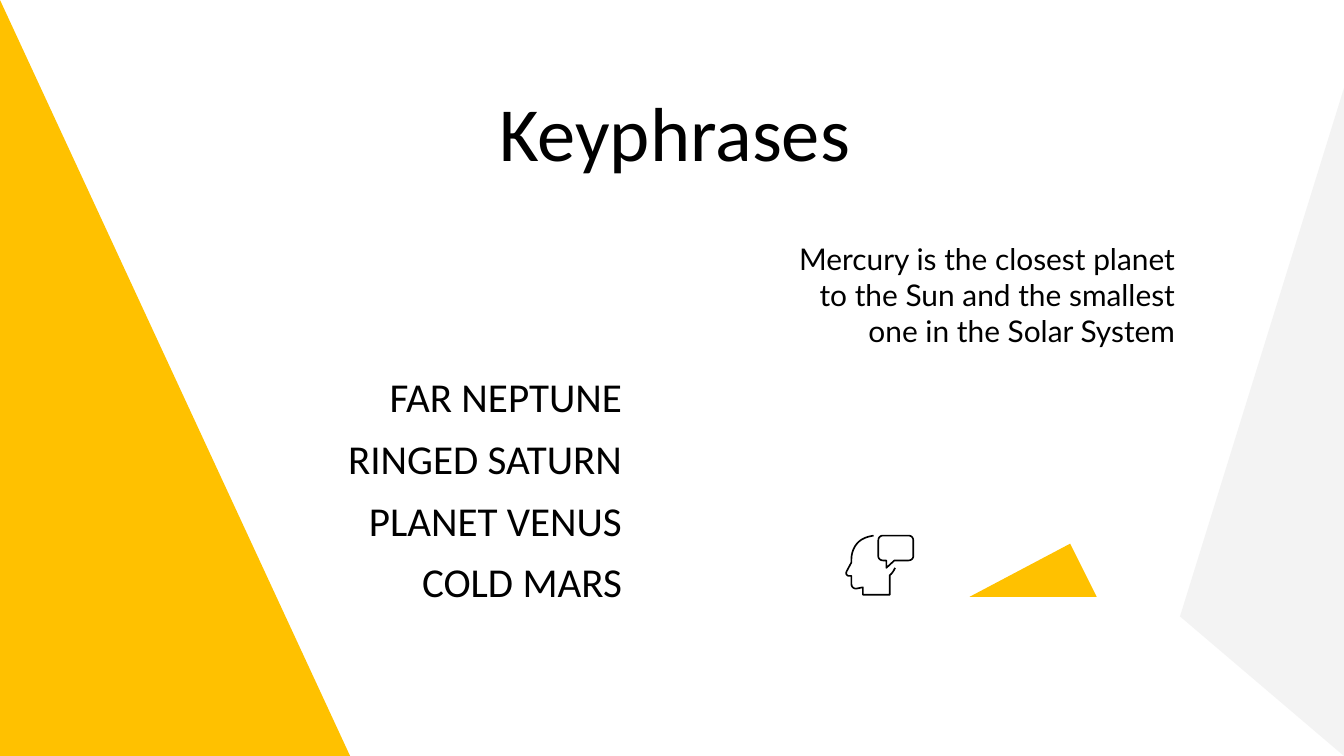
"""Build the Keyphrases slide."""
import pptx
import pptx.dml.color
import pptx.enum.shapes
import pptx.enum.text
import pptx.util

Inches = pptx.util.Inches
Pt = pptx.util.Pt
RGBColor = pptx.dml.color.RGBColor
Shape = pptx.enum.shapes.MSO_SHAPE
Align = pptx.enum.text.PP_ALIGN
Anchor = pptx.enum.text.MSO_ANCHOR

YELLOW = RGBColor(0xFF, 0xC1, 0x00)
GREY = RGBColor(0xF3, 0xF3, 0xF3)
BLACK = RGBColor(0x00, 0x00, 0x00)

PHRASES = ["FAR NEPTUNE", "RINGED SATURN", "PLANET VENUS", "COLD MARS"]
DEFINITION = ("Mercury is the closest planet to the Sun "
              "and the smallest one in the Solar System")

# Each step is one point for a line or three points for a Bezier curve.
HEAD = [
    [(13, 7.97)],
    [(12.95, 7.98), (12.9, 7.99), (12.86, 8.01)],
    [(12.74, 8.06), (12.67, 8.19), (12.67, 8.32)],
    [(12.67, 8.37)], [(12.6, 8.5)],
    [(12.58, 8.54), (12.6, 8.57), (12.64, 8.57)],
    [(12.67, 8.57)], [(12.67, 8.69)],
    [(12.67, 8.73), (12.7, 8.76), (12.74, 8.76)],
    [(12.84, 8.74)], [(12.84, 8.85)], [(13.24, 8.85)], [(13.24, 8.56)],
    [(13.28, 8.53), (13.3, 8.49), (13.32, 8.45)],
]
BUBBLE = [
    [(13.14, 7.97)], [(13.52, 7.97)],
    [(13.56, 7.97), (13.59, 8), (13.59, 8.04)],
    [(13.59, 8.28)],
    [(13.59, 8.31), (13.56, 8.34), (13.52, 8.34)],
    [(13.31, 8.34)], [(13.19, 8.45)], [(13.19, 8.34)], [(13.14, 8.34)],
    [(13.1, 8.34), (13.07, 8.31), (13.07, 8.28)],
    [(13.07, 8.04)],
    [(13.07, 8), (13.1, 7.97), (13.14, 7.97)],
]


def add_triangle(page, kind, left, top, width, height, color):
    """Add a flat filled triangle and return it."""
    triangle = page.shapes.add_shape(
        kind, Inches(left), Inches(top), Inches(width), Inches(height))
    triangle.shadow.inherit = False
    triangle.fill.solid()
    triangle.fill.fore_color.rgb = color
    triangle.line.fill.background()
    return triangle


def add_text(page, left, top, width, height, text, size, font="Calibri",
             align=Align.RIGHT, anchor=Anchor.TOP):
    """Add a wrapped one-paragraph text box."""
    box = page.shapes.add_textbox(
        Inches(left), Inches(top), Inches(width), Inches(height))
    frame = box.text_frame
    frame.word_wrap = True
    frame.vertical_anchor = anchor
    frame.margin_left = frame.margin_right = Inches(0.2)
    frame.margin_top = frame.margin_bottom = Inches(0.2)
    frame.text = text
    paragraph = frame.paragraphs[0]
    paragraph.alignment = align
    span = paragraph.runs[0]
    span.font.name = font
    span.font.size = Pt(size)
    span.font.color.rgb = BLACK


def trace(steps, samples=8):
    """Return the points along a path of lines and Bezier curves."""
    points = list(steps[0])
    for step in steps[1:]:
        if len(step) == 1:
            points += step
            continue
        corners = [points[-1]] + step
        for index in range(1, samples + 1):
            t = index / samples
            weights = ((1 - t) ** 3, 3 * t * (1 - t) ** 2,
                       3 * t ** 2 * (1 - t), t ** 3)
            points.append(tuple(
                sum(weight * corner[axis]
                    for weight, corner in zip(weights, corners))
                for axis in (0, 1)))
    return points


def add_outline(group, steps, close):
    """Add a black stroked path to a group."""
    points = [(Inches(x), Inches(y)) for x, y in trace(steps)]
    builder = group.shapes.build_freeform(*points[0])
    builder.add_line_segments(points[1:], close=close)
    outline = builder.convert_to_shape()
    outline.shadow.inherit = False
    outline.fill.background()
    outline.line.color.rgb = BLACK
    outline.line.width = Pt(1.75)


def main():
    """Build and save the deck."""
    deck = pptx.Presentation()
    deck.slide_width = Inches(20)
    deck.slide_height = Inches(11.25)
    page = deck.slides.add_slide(deck.slide_layouts[6])

    side = add_triangle(page, Shape.ISOSCELES_TRIANGLE,
                        13.81, 5.06, 9.94, 2.44, GREY)
    side.adjustments[0] = 0.209
    side.rotation = 270
    add_triangle(page, Shape.RIGHT_TRIANGLE, 0, 0, 5.21, 11.25, YELLOW)

    add_text(page, 11.2, 3.38, 6.49, 2.11, DEFINITION, 32, font="Lato")
    add_text(page, 1.8, 1.07, 16.48, 1.25, "Keyphrases", 82,
             align=Align.CENTER)
    for row, phrase in enumerate(PHRASES):
        add_text(page, 4.06, 5.56 + row * 0.917, 5.4, 0.68, phrase, 44,
                 anchor=Anchor.MIDDLE)

    accent = add_triangle(page, Shape.ISOSCELES_TRIANGLE,
                          14.43, 8.09, 1.89, 0.79, YELLOW)
    accent.adjustments[0] = 0.791
    icon = page.shapes.add_group_shape()
    add_outline(icon, HEAD, close=False)
    add_outline(icon, BUBBLE, close=True)
    deck.save("out.pptx")


if __name__ == "__main__":
    main()
